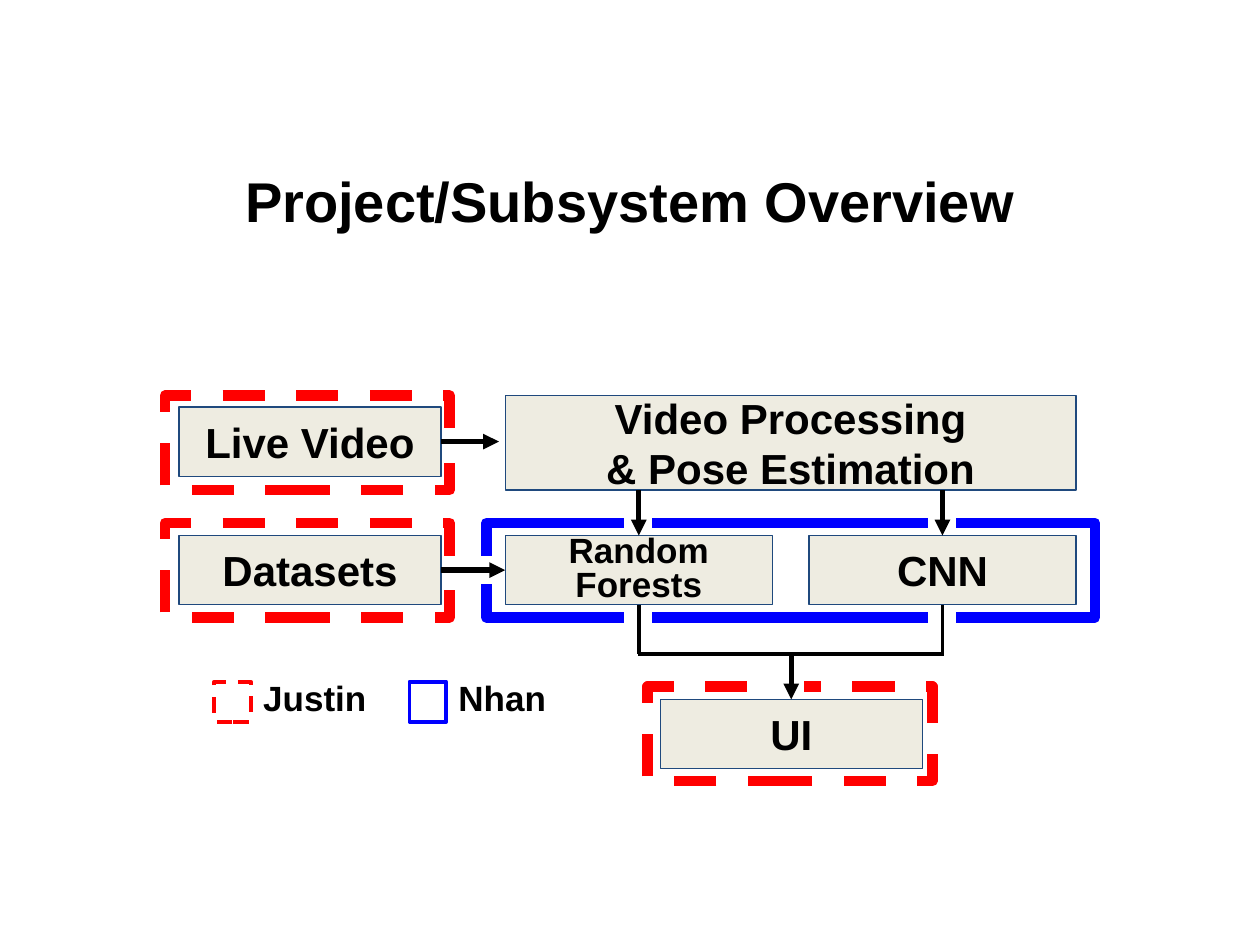
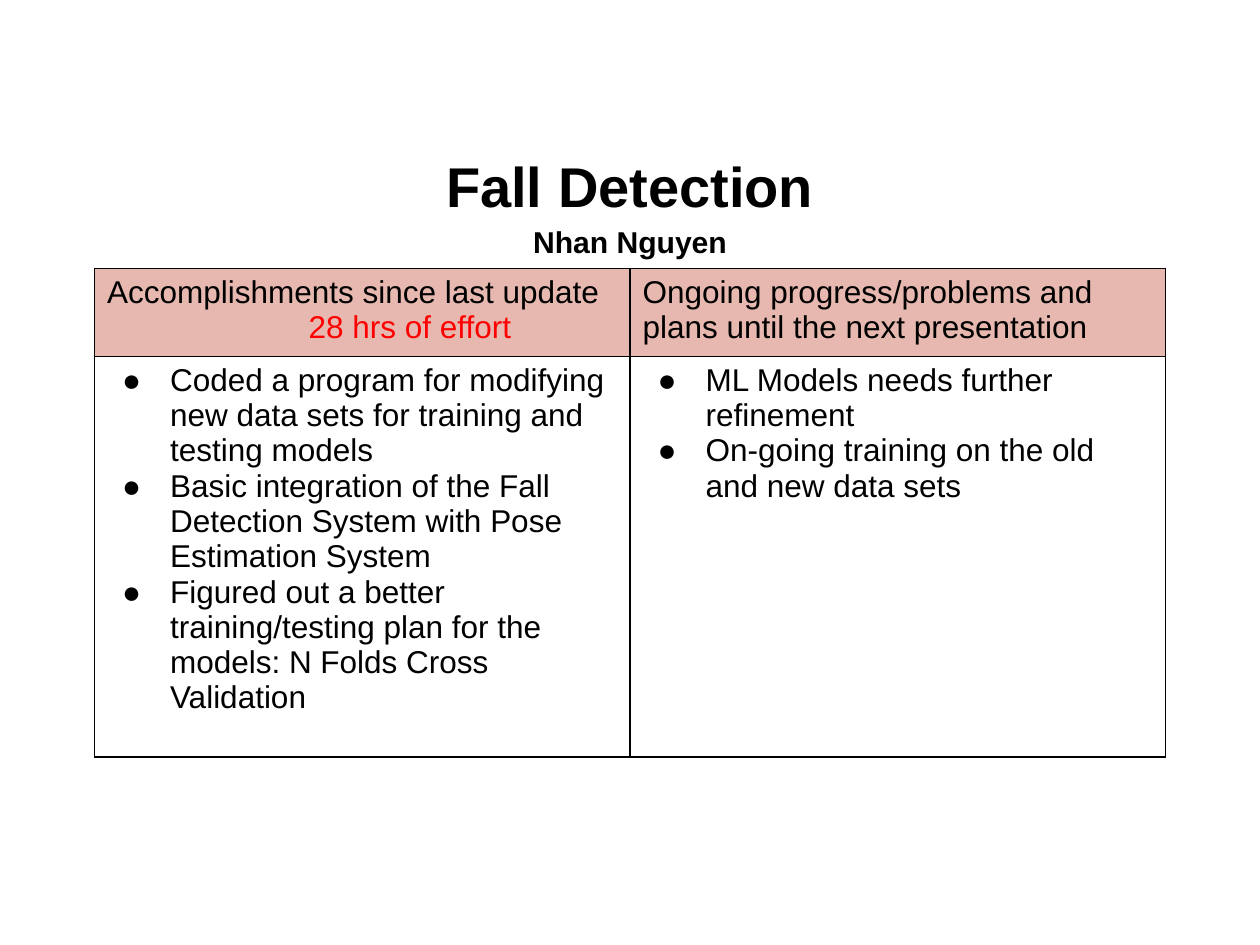
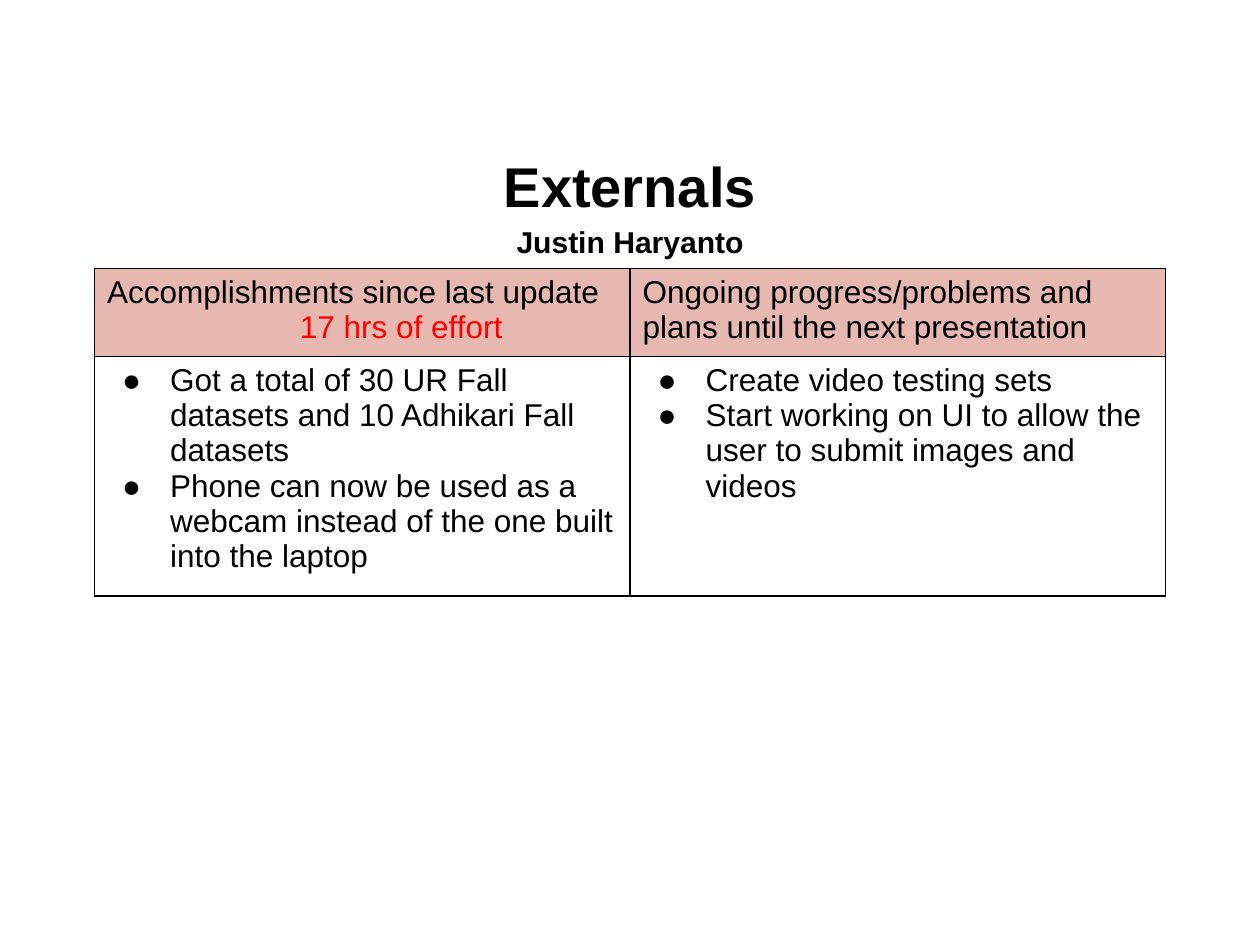
"""Build three project status slides: a subsystem diagram and two progress tables."""
from dataclasses import dataclass
from typing import Any, NamedTuple, Optional, Union

import lxml.etree
import pptx
import pptx.dml.color
import pptx.enum.dml
import pptx.enum.shapes
import pptx.enum.text
import pptx.oxml.ns
import pptx.util

Inches = pptx.util.Inches
Pt = pptx.util.Pt
qn = pptx.oxml.ns.qn
PP_ALIGN = pptx.enum.text.PP_ALIGN
TOP, LEFT, BOTTOM, RIGHT = range(4)


@dataclass(frozen=True)
class Theme:
    font: str = "Arial"
    black: str = "000000"
    white: str = "FFFFFF"
    red: str = "FF0000"
    blue: str = "0000FF"
    box_fill: str = "EEECE1"
    box_line: str = "1F497D"
    header_fill: str = "E6B8AF"
    title_size: float = 32
    subtitle_size: float = 17.2
    box_size: float = 24
    label_size: float = 20
    table_size: float = 18
    thin: float = 0.75
    frame_line: float = 6
    arrow_line: float = 3
    join_line: float = 2.25


T = Theme()


class Point(NamedTuple):
    x: float
    y: float


@dataclass(frozen=True)
class Rect:
    x: float
    y: float
    w: float
    h: float


@dataclass(frozen=True)
class Frame:
    rect: Rect
    color: str
    width: float = T.frame_line
    dashed: bool = False


@dataclass(frozen=True)
class Box:
    rect: Rect
    lines: tuple[str, ...]
    size: float = T.box_size
    spacing: Optional[float] = None


@dataclass(frozen=True)
class Side:
    box: Box
    site: int

    @property
    def point(self) -> Point:
        b = self.box.rect
        return (Point(b.x + b.w / 2, b.y), Point(b.x, b.y + b.h / 2),
                Point(b.x + b.w / 2, b.y + b.h), Point(b.x + b.w, b.y + b.h / 2))[self.site]


@dataclass(frozen=True)
class Link:
    start: Union[Point, Side]
    end: Union[Point, Side]
    arrow: bool = True


@dataclass(frozen=True)
class Owner:
    name: str
    color: str
    dashed: bool


@dataclass(frozen=True)
class Report:
    topic: str
    person: str
    effort: str
    effort_indent: float
    done: tuple[str, ...]
    planned: tuple[str, ...]
    body_height: float


LIVE = Box(Rect(1.42, 3.23, 2.08, 0.55), ("Live Video",))
DATASETS = Box(Rect(1.42, 4.25, 2.08, 0.55), ("Datasets",))
VIDEO = Box(Rect(4.01, 3.14, 4.53, 0.75), ("Video Processing", "& Pose Estimation"))
FORESTS = Box(Rect(4.01, 4.25, 2.12, 0.55), ("Random Forests",), T.label_size, 0.8)
CNN = Box(Rect(6.42, 4.25, 2.12, 0.55), ("CNN",))
UI = Box(Rect(5.24, 5.55, 2.08, 0.55), ("UI",))
BOXES = (LIVE, DATASETS, VIDEO, FORESTS, CNN, UI)
MODELS = (FORESTS, CNN)

FRAMES = (
    Frame(Rect(5.14, 5.45, 2.26, 0.75), T.red, dashed=True),
    Frame(Rect(1.31, 3.14, 2.26, 0.75), T.red, dashed=True),
    Frame(Rect(1.31, 4.15, 2.26, 0.75), T.red, dashed=True),
    Frame(Rect(3.86, 4.15, 4.83, 0.75), T.blue),
)
GAPS = (
    Rect(6.17, 5.17, 0.21, 0.5),
    Rect(3.42, 3.4, 0.5, 0.21),
    Rect(3.46, 4.42, 0.5, 0.21),
    *(Rect(x, y, 0.21, 0.39) for x in (4.96, 7.37) for y in (3.85, 4.76)),
)
JOIN_Y = 5.19
LINKS = (
    Link(Side(LIVE, RIGHT), Point(3.96, Side(LIVE, RIGHT).point.y)),
    Link(Side(DATASETS, RIGHT), Side(FORESTS, LEFT)),
    *(Link(Point(Side(m, TOP).point.x, 3.89), Side(m, TOP)) for m in MODELS),
    *(Link(Side(m, BOTTOM), Point(Side(m, BOTTOM).point.x, JOIN_Y), False) for m in MODELS),
    Link(Point(5.06, JOIN_Y), Point(7.49, JOIN_Y), False),
    Link(Point(Side(UI, TOP).point.x, JOIN_Y), Side(UI, TOP)),
)
OWNERS = (Owner("Justin", T.red, True), Owner("Nhan", T.blue, False))

REPORTS = (
    Report("Fall Detection", "Nhan Nguyen", "28 hrs of effort", 1.6,
           ("Coded a program for modifying new data sets for training and testing models",
            "Basic integration of the Fall Detection System with Pose Estimation System",
            "Figured out a better training/testing plan for the models: N Folds Cross Validation"),
           ("ML Models needs further refinement",
            "On-going training on the old and new data sets"), 3.18),
    Report("Externals", "Justin Haryanto", "17 hrs of effort", 1.53,
           ("Got a total of 30 UR Fall datasets and 10 Adhikari Fall datasets",
            "Phone can now be used as a webcam instead of the one built into the laptop"),
           ("Create video testing sets",
            "Start working on UI to allow the user to submit images and videos"), 1.9),
)


def rgb(color: str) -> pptx.dml.color.RGBColor:
    return pptx.dml.color.RGBColor.from_string(color)


def area(rect: Rect) -> tuple[int, ...]:
    return tuple(Inches(v) for v in (rect.x, rect.y, rect.w, rect.h))


def paragraph(tf: Any, index: int) -> Any:
    return tf.paragraphs[0] if index == 0 else tf.add_paragraph()


def add_run(p: Any, text: str, size: float, color: str = T.black, bold: bool = False) -> None:
    r = p.add_run()
    r.text = text
    r.font.name = T.font
    r.font.size = Pt(size)
    r.font.bold = bold
    r.font.color.rgb = rgb(color)


def set_insets(tf: Any, vertical: float) -> None:
    tf.margin_left = tf.margin_right = Inches(0.1)
    tf.margin_top = tf.margin_bottom = Inches(vertical)
    tf.word_wrap = True


def add_slide(prs: Any, title: str, subtitle: str = "") -> Any:
    s = prs.slides.add_slide(prs.slide_layouts[5])
    sp = s.shapes.title
    sp.left, sp.top, sp.width, sp.height = area(Rect(0.5, 1.15, 9, 0.88))
    tf = sp.text_frame
    set_insets(tf, 0.05)
    tf.auto_size = pptx.enum.text.MSO_AUTO_SIZE.NONE
    tf.vertical_anchor = pptx.enum.text.MSO_ANCHOR.MIDDLE
    lines = [(title, T.title_size)] + ([(subtitle, T.subtitle_size)] if subtitle else [])
    for i, (text, size) in enumerate(lines):
        p = paragraph(tf, i)
        p.alignment = PP_ALIGN.CENTER
        p.line_spacing = 1.15 if subtitle else 1.0
        add_run(p, text, size, bold=True)
    return s


def add_rect(s: Any, rect: Rect, fill: Optional[str], line: str, width: float = T.thin) -> Any:
    sp = s.shapes.add_shape(pptx.enum.shapes.MSO_SHAPE.RECTANGLE, *area(rect))
    sp.shadow.inherit = False
    if fill:
        sp.fill.solid()
        sp.fill.fore_color.rgb = rgb(fill)
    else:
        sp.fill.background()
    sp.line.color.rgb = rgb(line)
    sp.line.width = Pt(width)
    return sp


def add_frame(s: Any, frame: Frame) -> None:
    sp = add_rect(s, frame.rect, None, frame.color, frame.width)
    if frame.dashed:
        sp.line.dash_style = pptx.enum.dml.MSO_LINE.DASH


def add_box(s: Any, box: Box) -> Any:
    sp = add_rect(s, box.rect, T.box_fill, T.box_line)
    tf = sp.text_frame
    set_insets(tf, 0.1)
    tf.vertical_anchor = pptx.enum.text.MSO_ANCHOR.MIDDLE
    for i, text in enumerate(box.lines):
        p = paragraph(tf, i)
        p.alignment = PP_ALIGN.CENTER
        p.line_spacing = box.spacing
        add_run(p, text, box.size, bold=True)
    return sp


def add_link(s: Any, link: Link, shapes: dict[Box, Any]) -> None:
    ends = [e.point if isinstance(e, Side) else e for e in (link.start, link.end)]
    cxn = s.shapes.add_connector(pptx.enum.shapes.MSO_CONNECTOR.STRAIGHT,
                                 *(Inches(v) for point in ends for v in point))
    if isinstance(link.start, Side):
        cxn.begin_connect(shapes[link.start.box], link.start.site)
    if isinstance(link.end, Side):
        cxn.end_connect(shapes[link.end.box], link.end.site)
    cxn.line.color.rgb = rgb(T.black)
    cxn.line.width = Pt(T.arrow_line if link.arrow else T.join_line)
    spPr = cxn.element.spPr
    if link.arrow:
        lxml.etree.SubElement(spPr.find(qn("a:ln")), qn("a:tailEnd"), type="triangle")
    lxml.etree.SubElement(spPr, qn("a:effectLst"))


def add_owner(s: Any, owner: Owner, x: float) -> None:
    add_frame(s, Frame(Rect(x, 5.41, 0.29, 0.32), owner.color, T.join_line, owner.dashed))
    tf = s.shapes.add_textbox(*area(Rect(x + 0.29, 5.27, 1.19, 0.54))).text_frame
    set_insets(tf, 0.1)
    tf.auto_size = pptx.enum.text.MSO_AUTO_SIZE.SHAPE_TO_FIT_TEXT
    add_run(tf.paragraphs[0], owner.name, T.label_size, bold=True)


def add_overview(prs: Any) -> None:
    s = add_slide(prs, "Project/Subsystem Overview")
    for frame in FRAMES:
        add_frame(s, frame)
    for gap in GAPS:
        add_rect(s, gap, T.white, T.white)
    shapes = {box: add_box(s, box) for box in BOXES}
    for link in LINKS:
        add_link(s, link, shapes)
    for i, owner in enumerate(OWNERS):
        add_owner(s, owner, 1.7 + 1.55 * i)


def add_solid(parent: Any, tag: str, color: str) -> None:
    holder = lxml.etree.SubElement(parent, qn(tag))
    lxml.etree.SubElement(holder, qn("a:srgbClr"), val=color)


def style_cell(cell: Any, fill: Optional[str]) -> None:
    set_insets(cell, 0.05)
    tcPr = cell._tc.get_or_add_tcPr()
    for side in "LRTB":
        ln = lxml.etree.SubElement(tcPr, qn(f"a:ln{side}"), w=str(Pt(1)))
        add_solid(ln, "a:solidFill", T.black)
    if fill:
        cell.fill.solid()
        cell.fill.fore_color.rgb = rgb(fill)
    else:
        cell.fill.background()


def add_bullets(tf: Any, items: tuple[str, ...]) -> None:
    for i, text in enumerate(items):
        p = paragraph(tf, i)
        pPr = p._p.get_or_add_pPr()
        pPr.set("marL", str(Inches(0.5)))
        pPr.set("indent", str(Inches(-0.38)))
        add_solid(pPr, "a:buClr", T.black)
        lxml.etree.SubElement(pPr, qn("a:buFont"), typeface=T.font)
        lxml.etree.SubElement(pPr, qn("a:buChar"), char="●")
        add_run(p, text, T.table_size)


def add_report(prs: Any, report: Report) -> None:
    s = add_slide(prs, report.topic, report.person)
    heights = (0.7, report.body_height)
    table = s.shapes.add_table(2, 2, *area(Rect(0.75, 2.13, 8.5, sum(heights)))).table
    table.first_row = table.horz_banding = False
    for column in table.columns:
        column.width = Inches(4.25)
    for row, height, fill in zip(table.rows, heights, (T.header_fill, None)):
        row.height = Inches(height)
        for cell in row.cells:
            style_cell(cell, fill)
    headings = ("Accomplishments since last update",
                "Ongoing progress/problems and plans until the next presentation")
    for i, (heading, items) in enumerate(zip(headings, (report.done, report.planned))):
        add_run(table.cell(0, i).text_frame.paragraphs[0], heading, T.table_size)
        add_bullets(table.cell(1, i).text_frame, items)
    p = table.cell(0, 0).text_frame.add_paragraph()
    p._p.get_or_add_pPr().set("marL", str(Inches(report.effort_indent)))
    add_run(p, report.effort, T.table_size, T.red)


def main() -> None:
    prs = pptx.Presentation()
    prs.slide_width, prs.slide_height = Inches(10), Inches(7.5)
    add_overview(prs)
    for report in REPORTS:
        add_report(prs, report)
    prs.save("out.pptx")


if __name__ == "__main__":
    main()
